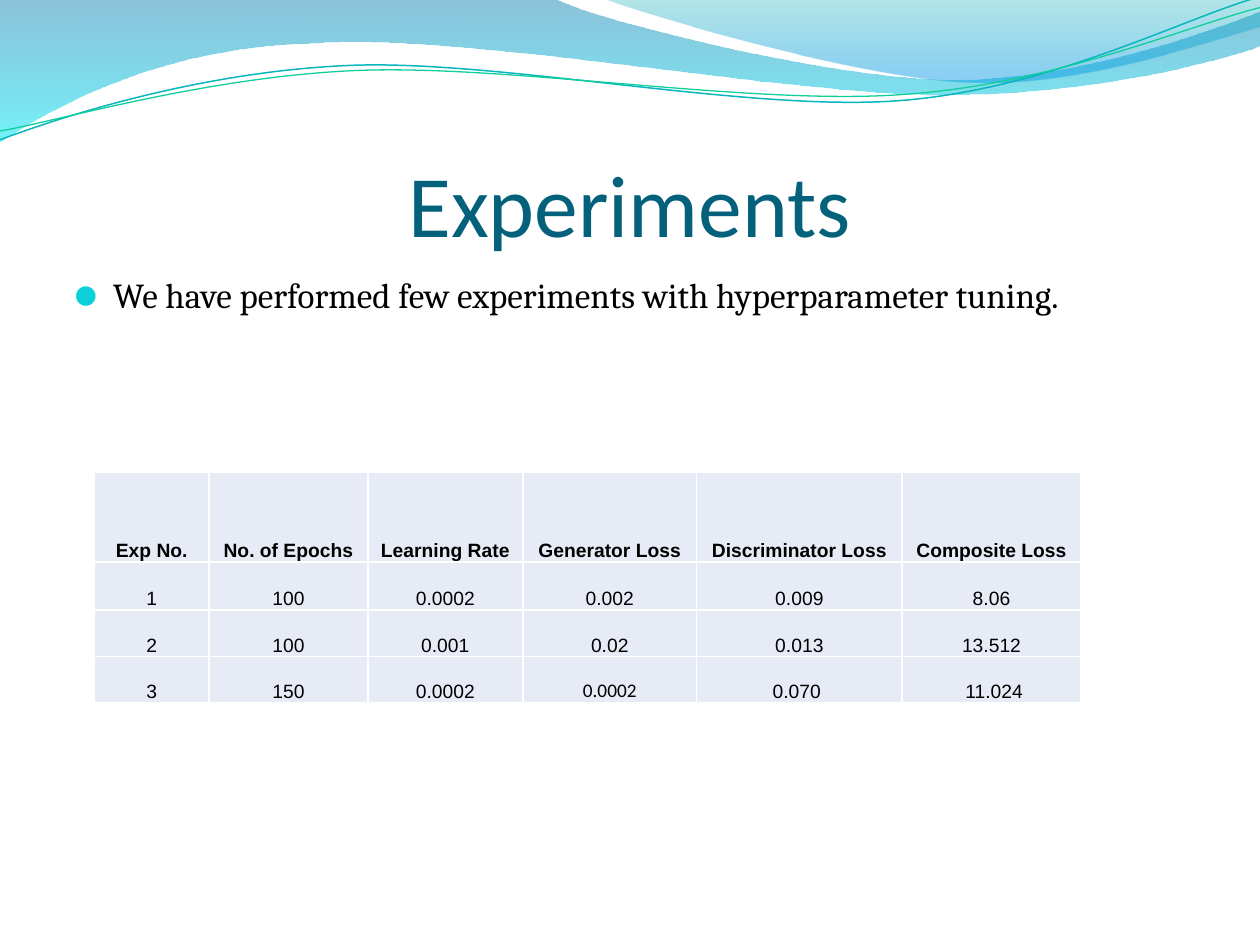
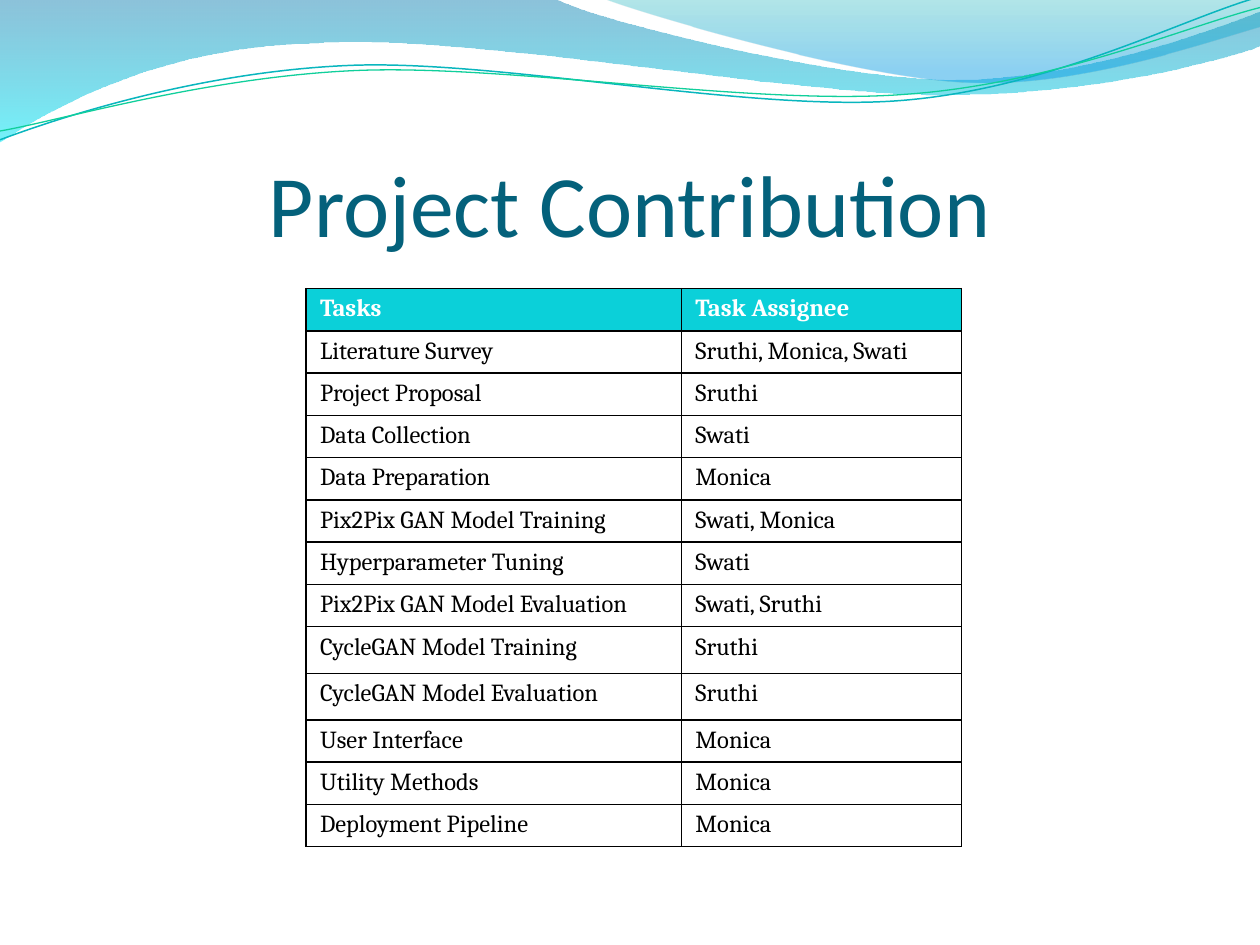
from dataclasses import dataclass, field

from lxml.etree import SubElement
from pptx import Presentation
from pptx.dml.color import RGBColor
from pptx.enum.text import MSO_ANCHOR, PP_ALIGN
from pptx.oxml import parse_xml
from pptx.oxml.ns import nsdecls, qn
from pptx.util import Emu, Inches, Pt

# The slide is a grid of square cells; every length below counts columns or rows.
COLUMNS, ROWS = 10, 7.5
CELL = Inches(1)

TITLE_BLUE, AQUA, PALE_BLUE = "04617B", "0BD0D9", "E6EBF5"
BLACK, WHITE = "000000", "FFFFFF"


@dataclass(frozen=True)
class Stop:
    position: float
    colour: str
    opacity: int


@dataclass(frozen=True)
class Wave:
    """A start point, then lines (x, y) and Bézier curves (six numbers)."""
    start: tuple[float, float]
    segments: list[tuple[float, ...]]
    gradient: tuple[Stop, ...] = ()
    line: str = ""
    width: float = 0


@dataclass(frozen=True)
class TextStyle:
    font: str
    size: float
    colour: str = BLACK
    bold: bool = False


@dataclass(frozen=True)
class TableLook:
    header: TextStyle
    body: TextStyle
    header_fill: str
    body_fill: str
    border: str
    insets: tuple[float, float, float, float]
    anchor: MSO_ANCHOR
    align: PP_ALIGN
    exceptions: dict[tuple[int, int], TextStyle] = field(default_factory=dict)


WAVES = [
    Wave((0, 0), [
        (4.4, -0.01),
        (4.76, 0.17, 6.64, 0.63, 7.58, 0.63),
        (8.53, 0.63, 9.58, 0.26, 10, 0.09),
        (10.01, 0.36),
        (9.83, 0.44, 8.7, 0.76, 7.46, 0.75),
        (6.22, 0.75, 3.82, 0.28, 2.57, 0.34),
        (1.29, 0.36, 0.46, 0.83, -0.01, 1.13),
        (0, 0),
    ], gradient=(Stop(0, "0079AD", 45), Stop(1, "00E9F7", 55))),
    Wave((4.79, -0.01), [
        (5.09, 0.11, 6.82, 0.62, 7.69, 0.65),
        (8.56, 0.69, 9.61, 0.32, 10, 0.21),
        (10, 0),
        (4.79, -0.01),
    ], gradient=(Stop(0, "00ABB4", 30), Stop(0.8, "0099E4", 45))),
    Wave((0, 1.11), [
        (0.48, 0.93, 1.58, 0.57, 2.77, 0.52),
        (3.95, 0.47, 5.93, 0.89, 7.13, 0.8),
        (8.33, 0.71, 9.38, 0.15, 9.98, -0.02),
    ], line="09B6BE", width=0.85),
    Wave((0, 1.04), [
        (0.47, 0.96, 1.64, 0.61, 2.83, 0.56),
        (4.03, 0.51, 5.97, 0.84, 7.17, 0.75),
        (8.36, 0.67, 9.41, 0.21, 10, 0.06),
    ], line="10CF9B", width=0.75),
]

TITLE = TextStyle("Calibri", 50, TITLE_BLUE)
BULLET_TEXT = TextStyle("Cambria", 20)

EXPERIMENTS = [
    ("Exp No.", "No. of Epochs", "Learning Rate", "Generator Loss",
     "Discriminator Loss", "Composite Loss"),
    ("1", "100", "0.0002", "0.002", "0.009", "8.06"),
    ("2", "100", "0.001", "0.02", "0.013", "13.512"),
    ("3", "150", "0.0002", "0.0002", "0.070 ", " 11.024"),
]
EXPERIMENT_LOOK = TableLook(
    header=TextStyle("Arial", 11, bold=True), body=TextStyle("Arial", 11),
    header_fill=PALE_BLUE, body_fill=PALE_BLUE, border=WHITE,
    insets=(0.01, 0.01, 0.01, 0), anchor=MSO_ANCHOR.BOTTOM, align=PP_ALIGN.CENTER,
    exceptions={(3, 3): TextStyle("Calibri", 11)},
)

CONTRIBUTIONS = [
    ("Tasks", "Task Assignee"),
    ("Literature Survey", "Sruthi, Monica, Swati"),
    ("Project Proposal", "Sruthi"),
    ("Data Collection", "Swati"),
    ("Data Preparation", "Monica"),
    ("Pix2Pix GAN Model Training", "Swati, Monica"),
    ("Hyperparameter Tuning", "Swati"),
    ("Pix2Pix GAN Model Evaluation", "Swati, Sruthi"),
    ("CycleGAN Model Training", "Sruthi"),
    ("CycleGAN Model Evaluation", "Sruthi"),
    ("User Interface", "Monica"),
    ("Utility Methods", "Monica"),
    ("Deployment Pipeline", "Monica"),
]
CONTRIBUTION_HEIGHT, TALL_ROW = 4.43, 0.37
CONTRIBUTION_ROW = (CONTRIBUTION_HEIGHT - 2 * TALL_ROW) / (len(CONTRIBUTIONS) - 2)
CONTRIBUTION_LOOK = TableLook(
    header=TextStyle("Cambria", 14, WHITE, bold=True), body=TextStyle("Cambria", 14),
    header_fill=AQUA, body_fill=WHITE, border=BLACK,
    insets=(0.11, 0.05, 0.11, 0.05), anchor=MSO_ANCHOR.TOP, align=PP_ALIGN.LEFT,
)


def cells(count: float) -> Emu:
    """Length of a number of grid cells."""
    return Emu(round(count * CELL))


def rgb(colour: str) -> RGBColor:
    return RGBColor.from_string(colour)


def bend(shape, wave: Wave) -> None:
    """Turn each three lines that stand for a curve into one Bézier curve."""
    lines = iter(list(shape.element.iter(qn("a:lnTo"))))
    for segment in wave.segments:
        first = next(lines)
        if len(segment) == 2:
            continue
        curve = first.makeelement(qn("a:cubicBezTo"))
        first.addprevious(curve)
        for line in (first, next(lines), next(lines)):
            curve.append(line[0])
            line.getparent().remove(line)


def draw_wave(slide, wave: Wave) -> None:
    points = [(cells(x), cells(y)) for segment in wave.segments
              for x, y in zip(segment[::2], segment[1::2])]
    builder = slide.shapes.build_freeform(*map(cells, wave.start))
    builder.add_line_segments(points, close=bool(wave.gradient))
    shape = builder.convert_to_shape()
    bend(shape, wave)
    shape.shadow.inherit = False
    if not wave.gradient:
        shape.fill.background()
        shape.line.color.rgb = rgb(wave.line)
        shape.line.width = Pt(wave.width)
        return
    shape.line.fill.background()
    shape.fill.gradient()
    shape.fill.gradient_angle = 270
    for target, stop in zip(shape.fill.gradient_stops, wave.gradient):
        target.position = stop.position
        target.color.rgb = rgb(stop.colour)
    for tint, stop in zip(shape.element.spPr.iter(qn("a:srgbClr")), wave.gradient):
        SubElement(tint, qn("a:alpha"), val=str(stop.opacity * 1000))


def set_insets(holder, insets: tuple[float, float, float, float]) -> None:
    (holder.margin_left, holder.margin_top,
     holder.margin_right, holder.margin_bottom) = map(cells, insets)


def add_run(paragraph, text: str, style: TextStyle) -> None:
    run = paragraph.add_run()
    run.text = text
    run.font.name = style.font
    run.font.size = Pt(style.size)
    run.font.bold = style.bold
    run.font.color.rgb = rgb(style.colour)


def add_text(slide, text: str, style: TextStyle, top: float, height: float,
             insets: tuple[float, float, float, float],
             anchor: MSO_ANCHOR, align: PP_ALIGN):
    """Add a text box between the side margins and return its paragraph."""
    margin = 0.5
    box = slide.shapes.add_textbox(cells(margin), cells(top),
                                   cells(COLUMNS - 2 * margin), cells(height))
    frame = box.text_frame
    frame.word_wrap = True
    frame.vertical_anchor = anchor
    set_insets(frame, insets)
    paragraph = frame.paragraphs[0]
    paragraph.alignment = align
    add_run(paragraph, text, style)
    return paragraph


def add_bullet(paragraph, symbol: str, colour: str, indent: float) -> None:
    properties = paragraph._p.get_or_add_pPr()
    properties.set("marL", str(cells(indent)))
    properties.set("indent", str(-cells(indent)))
    SubElement(SubElement(properties, qn("a:buClr")), qn("a:srgbClr"), val=colour)
    SubElement(properties, qn("a:buFont"), typeface="Arial")
    SubElement(properties, qn("a:buChar"), char=symbol)


def set_borders(cell, colour: str) -> None:
    properties = cell._tc.get_or_add_tcPr()
    for place, side in enumerate("LRTB"):
        properties.insert(place, parse_xml(
            f'<a:ln{side} {nsdecls("a")} w="{Pt(1)}"><a:solidFill>'
            f'<a:srgbClr val="{colour}"/></a:solidFill></a:ln{side}>'))


def draw_table(slide, content: list[tuple[str, ...]], left: float, top: float,
               widths: list[float], heights: list[float], look: TableLook) -> None:
    table = slide.shapes.add_table(
        len(heights), len(widths), cells(left), cells(top),
        cells(sum(widths)), cells(sum(heights))).table
    table.first_row = table.horz_banding = False
    for column, width in zip(table.columns, widths):
        column.width = cells(width)
    for row, height in zip(table.rows, heights):
        row.height = cells(height)
    for r, entries in enumerate(content):
        for c, text in enumerate(entries):
            cell = table.cell(r, c)
            cell.fill.solid()
            cell.fill.fore_color.rgb = rgb(look.body_fill if r else look.header_fill)
            cell.vertical_anchor = look.anchor
            set_insets(cell, look.insets)
            set_borders(cell, look.border)
            paragraph = cell.text_frame.paragraphs[0]
            paragraph.alignment = look.align
            style = look.exceptions.get((r, c), look.body if r else look.header)
            add_run(paragraph, text, style)


def add_titled_slide(deck, title: str):
    """Add a blank slide with the waves and its title."""
    slide = deck.slides.add_slide(deck.slide_layouts[6])
    for wave in WAVES:
        draw_wave(slide, wave)
    add_text(slide, title, TITLE, 0.77, 1.25, (0, 0.05, 0, 0),
             MSO_ANCHOR.BOTTOM, PP_ALIGN.CENTER)
    return slide


def main() -> None:
    deck = Presentation()
    deck.slide_width, deck.slide_height = cells(COLUMNS), cells(ROWS)

    experiments = add_titled_slide(deck, "Experiments")
    summary = add_text(
        experiments, "We have performed few experiments with hyperparameter tuning.",
        BULLET_TEXT, 2.12, 4.8, (0.1, 0.05, 0.1, 0.05), MSO_ANCHOR.TOP, PP_ALIGN.LEFT)
    add_bullet(summary, "⚫", AQUA, 0.3)
    draw_table(experiments, EXPERIMENTS, 0.75, 3.75,
               [0.91, 1.26, 1.23, 1.38, 1.63, 1.42], [0.71, 0.38, 0.37, 0.37],
               EXPERIMENT_LOOK)

    contribution = add_titled_slide(deck, "Project Contribution")
    draw_table(contribution, CONTRIBUTIONS, 2.43, 2.29, [2.98, 2.22],
               [CONTRIBUTION_ROW] * 8 + [TALL_ROW] * 2 + [CONTRIBUTION_ROW] * 3,
               CONTRIBUTION_LOOK)

    deck.save("out.pptx")


if __name__ == "__main__":
    main()
